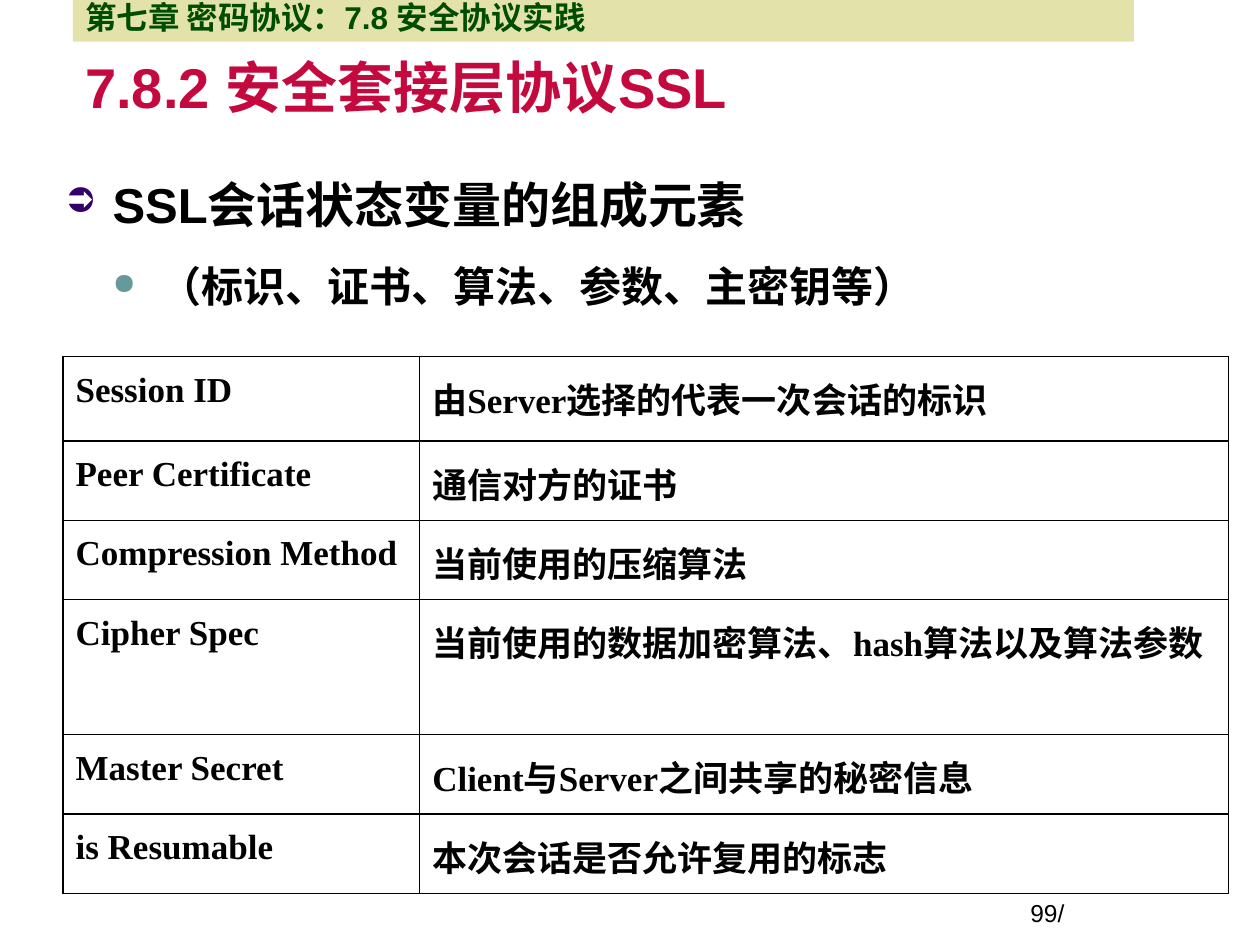
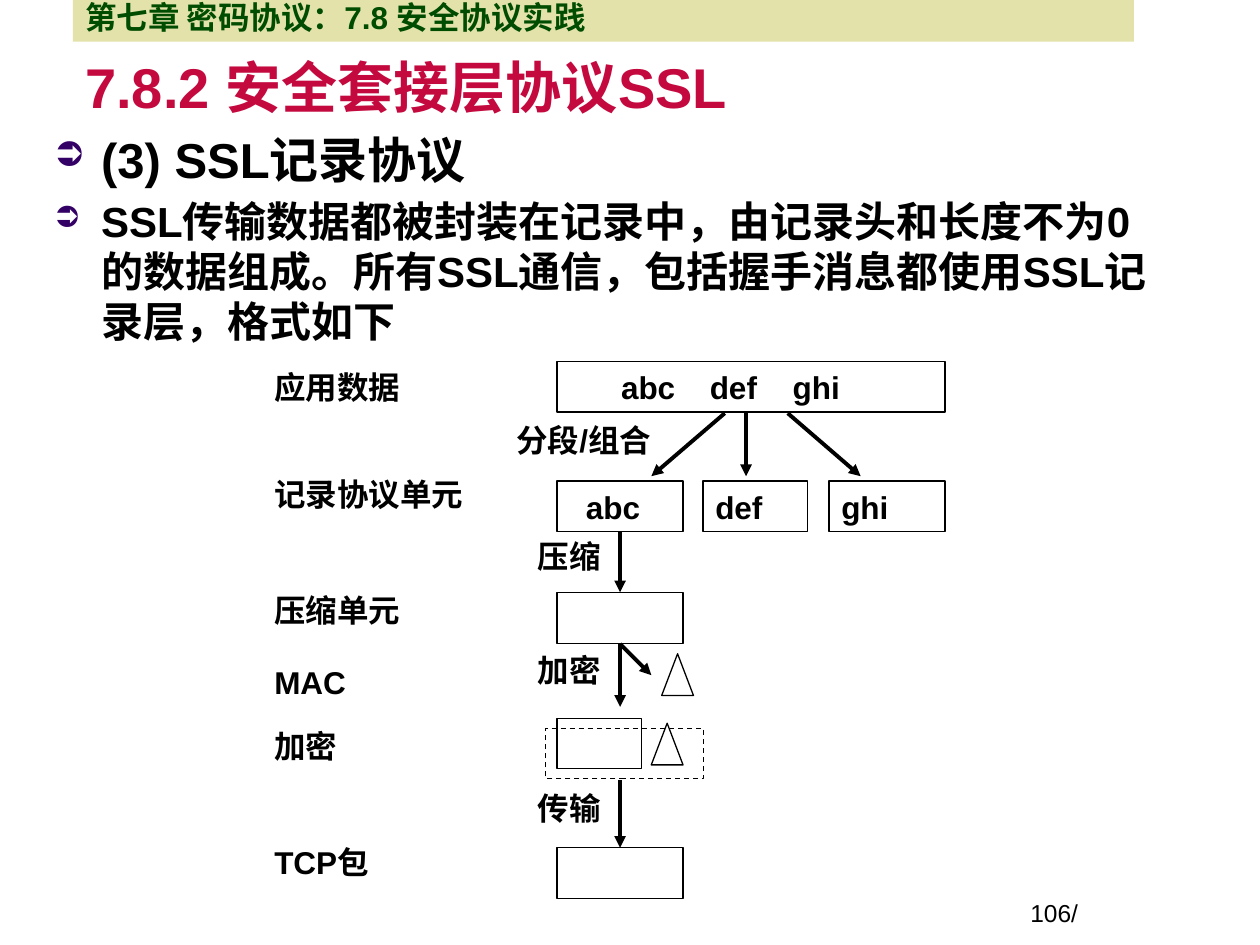
from lxml.etree import SubElement
from pptx import Presentation
from pptx.dml.color import RGBColor
from pptx.enum.dml import MSO_LINE
from pptx.enum.shapes import MSO_CONNECTOR, MSO_SHAPE
from pptx.enum.text import MSO_ANCHOR, PP_ALIGN
from pptx.oxml import parse_xml
from pptx.oxml.ns import nsdecls, qn
from pptx.util import Cm, Pt

BLACK = "000000"
TABLE_INK = "020202"
CRIMSON = "C3093E"
GREEN = "004C00"
SAND = "E2E2AA"
BULLETS = (("➲", "330066"), ("●", "669999"))
INDENT = 0.95
ROW_HEIGHT = 1.02


def color(value):
    return RGBColor.from_string(value)


class Deck:
    chapter = "第七章 密码协议：7.8 安全协议实践"
    title = "7.8.2 安全套接层协议SSL"

    def __init__(self):
        self.presentation = Presentation()
        self.presentation.slide_width = Cm(25.4)
        self.presentation.slide_height = Cm(19.05)
        self.slide = None

    def add_slide(self, number):
        self.slide = self.presentation.slides.add_slide(self.presentation.slide_layouts[6])
        self.text(self.title, 1.47, 1.07, 21.39, 1.47, 32, CRIMSON)
        band = self.shape(1.47, 0, 21.39, 0.84, self.chapter, ink=GREEN)
        band.fill.solid()
        band.fill.fore_color.rgb = color(SAND)
        band.line.fill.background()
        self.text(f"{number}/", 20.52, 17.98, 3.61, 0.84, 14, bold=False, anchor=MSO_ANCHOR.TOP)

    def style(self, paragraph, size, ink=BLACK, bold=True, name="Arial"):
        paragraph.alignment = PP_ALIGN.LEFT
        font = paragraph.font
        font.size, font.bold, font.name = Pt(size), bold, name
        font.color.rgb = color(ink)

    def hang(self, paragraph, level=0):
        properties = paragraph._p.get_or_add_pPr()
        properties.set("marL", str(Cm(INDENT * (level + 1))))
        properties.set("indent", str(-Cm(INDENT)))
        return properties

    def text(self, words, left, top, width, height=ROW_HEIGHT, size=18, ink=BLACK,
             bold=True, anchor=MSO_ANCHOR.BOTTOM):
        box = self.slide.shapes.add_textbox(Cm(left), Cm(top), Cm(width), Cm(height))
        frame = box.text_frame
        frame.word_wrap = True
        frame.vertical_anchor = anchor
        frame.text = words
        self.style(frame.paragraphs[0], size, ink, bold)

    def bullets(self, items, left, top, width, height, spacing):
        box = self.slide.shapes.add_textbox(Cm(left), Cm(top), Cm(width), Cm(height))
        frame = box.text_frame
        frame.word_wrap = True
        for index, (words, level, size) in enumerate(items):
            paragraph = frame.add_paragraph() if index else frame.paragraphs[0]
            paragraph.text = words
            paragraph.level = level
            paragraph.line_spacing = spacing
            paragraph.space_after = Pt(size * 0.1)
            if index:
                paragraph.space_before = Pt(size * 0.4)
            properties = self.hang(paragraph, level)
            mark, mark_color = BULLETS[level]
            SubElement(SubElement(properties, qn("a:buClr")), qn("a:srgbClr"), val=mark_color)
            SubElement(properties, qn("a:buSzPct"), val="70000")
            SubElement(properties, qn("a:buChar"), char=mark)
            self.style(paragraph, size)

    def shape(self, left, top, width, height=ROW_HEIGHT, words="", kind=MSO_SHAPE.RECTANGLE,
              ink=BLACK, indent=0, tabs=(), dashed=False):
        shape = self.slide.shapes.add_shape(kind, Cm(left), Cm(top), Cm(width), Cm(height))
        shape.shadow.inherit = False
        shape.fill.background()
        shape.line.color.rgb = color(BLACK)
        shape.line.width = Pt(0.75)
        if dashed:
            shape.line.dash_style = MSO_LINE.DASH
        if words:
            frame = shape.text_frame
            frame.word_wrap = True
            frame.vertical_anchor = MSO_ANCHOR.BOTTOM
            frame.text = words
            paragraph = frame.paragraphs[0]
            properties = paragraph._p.get_or_add_pPr()
            if indent:
                properties.set("marL", str(Cm(indent)))
            if tabs:
                stops = SubElement(properties, qn("a:tabLst"))
                for position in tabs:
                    SubElement(stops, qn("a:tab"), pos=str(Cm(position)), algn="l")
            self.style(paragraph, 18, ink)
        return shape

    def arrow(self, start, end, source=None, target=None):
        connector = self.slide.shapes.add_connector(
            MSO_CONNECTOR.STRAIGHT, *(Cm(value) for value in start + end))
        connector.line.color.rgb = color(BLACK)
        connector.line.width = Pt(2.25)
        SubElement(connector.line._get_or_add_ln(), qn("a:tailEnd"), type="triangle")
        SubElement(connector._element.spPr, qn("a:effectLst"))
        if source:
            connector.begin_connect(source, 2)
        if target:
            connector.end_connect(target, 0)

    def table(self, rows, left, top, widths, heights):
        frame = self.slide.shapes.add_table(
            len(rows), len(widths), Cm(left), Cm(top), Cm(sum(widths)), Cm(sum(heights)))
        table = frame.table
        table.first_row = table.horz_banding = False
        for column, width in zip(table.columns, widths):
            column.width = Cm(width)
        for row, height, values in zip(table.rows, heights, rows):
            row.height = Cm(height)
            for cell, words in zip(row.cells, values):
                cell.text = words
                cell.fill.background()
                self.borders(cell)
                paragraph = cell.text_frame.paragraphs[0]
                paragraph.line_spacing = 1.2
                paragraph.space_after = Pt(2)
                self.hang(paragraph)
                self.style(paragraph, 20, TABLE_INK, name="Times New Roman")

    def borders(self, cell):
        properties = cell._tc.get_or_add_tcPr()
        for index, side in enumerate("LRTB"):
            properties.insert(index, parse_xml(
                f'<a:ln{side} {nsdecls("a")} w="{Pt(1)}"><a:solidFill>'
                f'<a:srgbClr val="{BLACK}"/></a:solidFill></a:ln{side}>'))


def session_state(deck):
    deck.add_slide(99)
    deck.bullets([("SSL会话状态变量的组成元素", 0, 28),
                  ("（标识、证书、算法、参数、主密钥等）", 1, 24)],
                 1.07, 3.28, 23.06, 2.84, 1.1)
    variables = [
        ("Session ID", "由Server选择的代表一次会话的标识"),
        ("Peer Certificate", "通信对方的证书"),
        ("Compression Method", "当前使用的压缩算法"),
        ("Cipher Spec", "当前使用的数据加密算法、hash算法以及算法参数"),
        ("Master Secret", "Client与Server之间共享的秘密信息"),
        ("is Resumable", "本次会话是否允许复用的标志"),
    ]
    deck.table(variables, 1.27, 7.19, (7.19, 16.31), (1.7, 1.6, 1.6, 2.72, 1.6, 1.6))


def record_protocol(deck):
    deck.add_slide(106)
    deck.bullets([("(3) SSL记录协议", 0, 28)], 0.84, 2.24, 23.7, 2.01, 1.2)
    deck.bullets([("SSL传输数据都被封装在记录中，由记录头和长度不为0的数据组成。"
                   "所有SSL通信，包括握手消息都使用SSL记录层，格式如下", 0, 24)],
                 0.84, 3.81, 22.86, 14.17, 1.0)

    for stage, top in (("应用数据", 7.29), ("记录协议单元", 9.45), ("压缩单元", 11.79),
                       ("MAC", 13.23), ("加密", 14.53), ("TCP包", 16.87)):
        deck.text(stage, 5.28, top, 4.87)
    deck.text("分段/组合", 10.16, 8.36, 3.61)
    for step, top in (("压缩", 10.69), ("加密", 13), ("传输", 15.77)):
        deck.text(step, 10.59, top, 2.11)

    left, unit = 11.23, 2.54
    deck.shape(left, 7.29, 7.82, words="\tabc\tdef\tghi", tabs=(1.04, 2.83, 4.5))
    record = deck.shape(left, 9.7, unit, words="abc", indent=0.33)
    deck.shape(14.17, 9.7, 2.11, words="def")
    deck.shape(16.71, 9.7, 2.34, words="ghi")
    compressed = deck.shape(left, 11.94, unit, 1.04)
    deck.shape(11, 14.68, 3.18, dashed=True)
    deck.shape(left, 14.48, 1.7)
    for mac_left, mac_top in ((13.34, 13.18), (13.13, 14.58)):
        deck.shape(mac_left, mac_top, 0.64, 0.84, kind=MSO_SHAPE.ISOSCELES_TRIANGLE)
    packet = deck.shape(left, 17.09, unit)

    for start, end in ((14.61, 13.13), (15.04, 15.04), (15.88, 17.35)):
        deck.arrow((start, 8.33), (end, 9.6))
    middle = left + unit / 2
    deck.arrow((middle, 10.72), (middle, 11.94), record, compressed)
    deck.arrow((middle, 12.98), (middle, 14.25), compressed)
    deck.arrow((middle, 12.98), (13.13, 13.61), compressed)
    deck.arrow((middle, 15.72), (middle, 17.09), target=packet)


def main():
    deck = Deck()
    session_state(deck)
    record_protocol(deck)
    deck.presentation.save("out.pptx")


if __name__ == "__main__":
    main()
